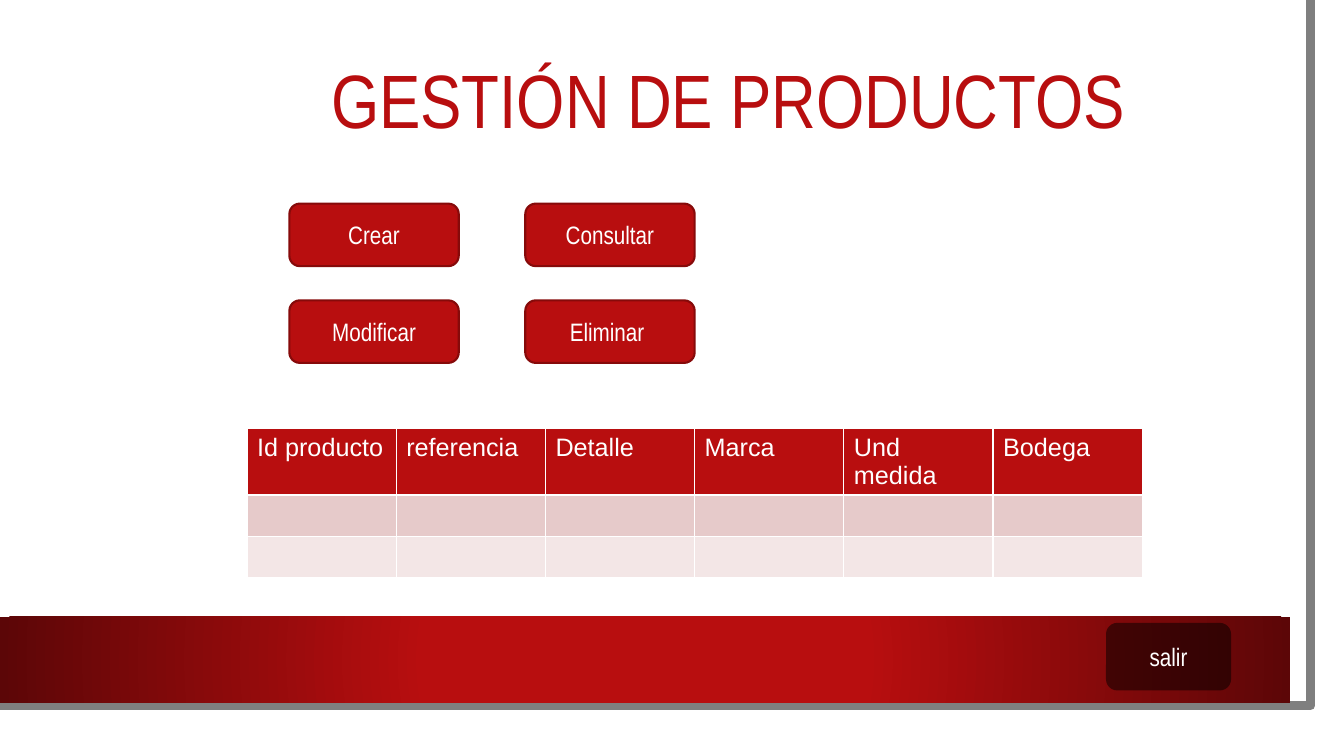
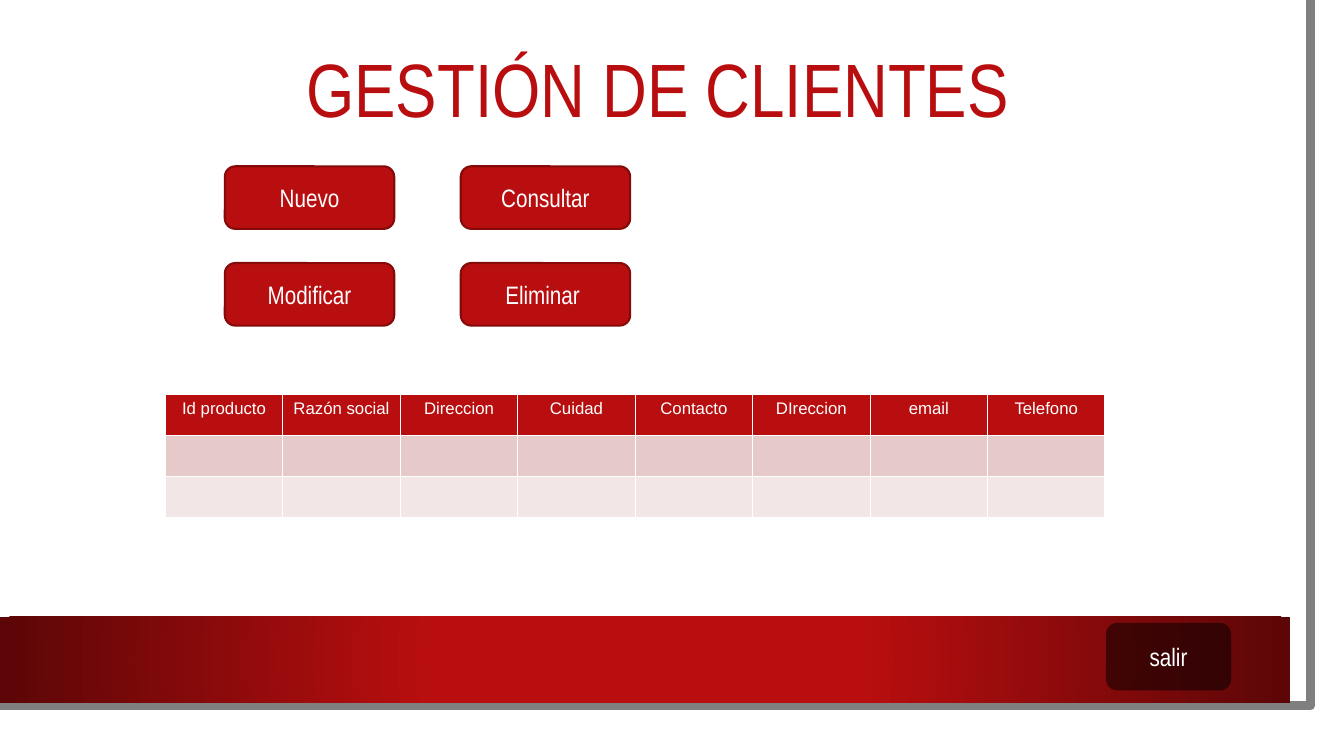
"""Build two management screens with buttons, a table and a shared frame."""
from dataclasses import dataclass

from lxml import etree
from pptx import Presentation
from pptx.dml.color import RGBColor
from pptx.enum.shapes import MSO_SHAPE
from pptx.enum.text import MSO_ANCHOR, MSO_AUTO_SIZE, PP_ALIGN
from pptx.oxml import parse_xml
from pptx.oxml.ns import nsdecls, qn
from pptx.util import Inches, Pt

RECTANGLE = MSO_SHAPE.RECTANGLE
ROUNDED = MSO_SHAPE.ROUNDED_RECTANGLE
MIDDLE = MSO_ANCHOR.MIDDLE
NO_AUTOFIT = MSO_AUTO_SIZE.NONE
LEFT, CENTER = PP_ALIGN.LEFT, PP_ALIGN.CENTER


@dataclass(frozen=True)
class Theme:
    red: str = "B80E0F"
    dark_red: str = "5C0607"
    outline: str = "860A0A"
    gray: str = "7F7F7F"
    black: str = "000000"
    white: str = "FFFFFF"
    rows: tuple = ("E6CACA", "F3E6E6")
    heading_font: str = "Arial Narrow"
    table_font: str = "Arial"
    title_size: int = 54
    button_size: int = 18


THEME = Theme()
BUTTON_WIDTH, BUTTON_HEIGHT = 1.68, 0.62
COLUMN_STEP, ROW_STEP = 2.34, 0.96
TABLE_ROW_HEIGHT = 0.41

SCREENS = [
    {
        "title": "GESTIÓN DE PRODUCTOS",
        "title_at": (1.54, 0.4),
        "buttons": [["Crear", "Consultar"], ["Modificar", "Eliminar "]],
        "buttons_at": (2.87, 2.02),
        "headers": ["Id producto", "referencia", "Detalle", "Marca", "Und medida", "Bodega"],
        "table_at": (2.45, 4.25),
        "table_width": 8.88,
        "header_size": 18,
        "header_align": LEFT,
    },
    {
        "title": "GESTIÓN DE CLIENTES",
        "title_at": (0.84, 0.29),
        "buttons": [["Nuevo", "Consultar"], ["Modificar", "Eliminar "]],
        "buttons_at": (2.23, 1.65),
        "headers": ["Id producto", "Razón social", "Direccion", "Cuidad",
                    "Contacto", "DIreccion", "email", "Telefono"],
        "table_at": (1.64, 3.91),
        "table_width": 9.32,
        "header_size": 12,
        "header_align": CENTER,
    },
]


def write(text_frame, text, font, size, color, align=CENTER):
    paragraph = text_frame.paragraphs[0]
    paragraph.alignment = align
    run = paragraph.add_run()
    run.text = text
    run.font.name = font
    run.font.size = Pt(size)
    run.font.bold = False
    run.font.color.rgb = RGBColor.from_string(color)
    return paragraph


def add_button(slide, text, left, top, width, height, color):
    button = slide.shapes.add_shape(ROUNDED, Inches(left), Inches(top), Inches(width), Inches(height))
    button.shadow.inherit = False
    button.fill.solid()
    button.fill.fore_color.rgb = RGBColor.from_string(color)
    button.text_frame.vertical_anchor = MIDDLE
    button.text_frame.word_wrap = True
    write(button.text_frame, text, THEME.heading_font, THEME.button_size, THEME.white)
    return button


presentation = Presentation()
presentation.slide_width = Inches(13.33)
presentation.slide_height = Inches(7.5)
layout = presentation.slide_layouts[5]
slides = [presentation.slides.add_slide(layout) for _ in SCREENS]

shapes = slides[0].shapes
builder = shapes.build_freeform(12.82, 0, scale=Inches(1))
builder.add_line_segments([(12.85, 7.02), (-0.03, 7.01)], close=False)
frame = builder.convert_to_shape()
frame.shadow.inherit = False
frame.fill.background()
frame.line.color.rgb = RGBColor.from_string(THEME.gray)
frame.line.width = Pt(6.5)

band = shapes.add_shape(RECTANGLE, 0, Inches(6.12), Inches(12.8), Inches(0.85))
band.shadow.inherit = False
band.line.fill.background()
stops = "".join(
    f'<a:gs pos="{position}000"><a:srgbClr val="{color}"/></a:gs>'
    for position, color in [(0, THEME.red), (34, THEME.red), (100, THEME.dark_red)]
)
gradient = parse_xml(
    f'<a:gradFill {nsdecls("a")} rotWithShape="1"><a:gsLst>{stops}</a:gsLst>'
    '<a:path path="circle"><a:fillToRect l="50000" t="50000" r="50000" b="50000"/></a:path>'
    '</a:gradFill>'
)
band.element.spPr.find(qn("a:prstGeom")).addnext(gradient)

for position, shape in enumerate([frame, band], start=2):
    layout.element.cSld.spTree.insert(position, shape.element)

for slide, screen in zip(slides, SCREENS):
    title = slide.shapes.title
    title.left, title.top = [Inches(value) for value in screen["title_at"]]
    title.width, title.height = Inches(11.37), Inches(1.26)
    title.text_frame.auto_size = NO_AUTOFIT
    title.text_frame.vertical_anchor = MIDDLE
    paragraph = write(title.text_frame, screen["title"], THEME.heading_font, THEME.title_size, THEME.red)
    paragraph.line_spacing = 0.9

    left, top = screen["buttons_at"]
    for row, labels in enumerate(screen["buttons"]):
        for column, label in enumerate(labels):
            button = add_button(slide, label, left + column * COLUMN_STEP, top + row * ROW_STEP,
                                BUTTON_WIDTH, BUTTON_HEIGHT, THEME.red)
            button.line.color.rgb = RGBColor.from_string(THEME.outline)
            button.line.width = Pt(1.5)

    headers = screen["headers"]
    fills = [THEME.red, *THEME.rows]
    left, top = screen["table_at"]
    table = slide.shapes.add_table(
        len(fills), len(headers), Inches(left), Inches(top),
        Inches(screen["table_width"]), Inches(TABLE_ROW_HEIGHT * len(fills)),
    ).table
    for row, color in enumerate(fills):
        for column in range(len(headers)):
            cell = table.cell(row, column)
            cell.fill.solid()
            cell.fill.fore_color.rgb = RGBColor.from_string(color)
    for column, header in enumerate(headers):
        write(table.cell(0, column).text_frame, header, THEME.table_font,
              screen["header_size"], THEME.white, screen["header_align"])

    exit_button = add_button(slide, "salir", 10.97, 6.18, 1.24, 0.67, THEME.black)
    exit_button.line.fill.background()
    exit_color = exit_button.element.spPr.find(qn("a:solidFill")).find(qn("a:srgbClr"))
    etree.SubElement(exit_color, qn("a:alpha"), val="50000")

presentation.save("out.pptx")
